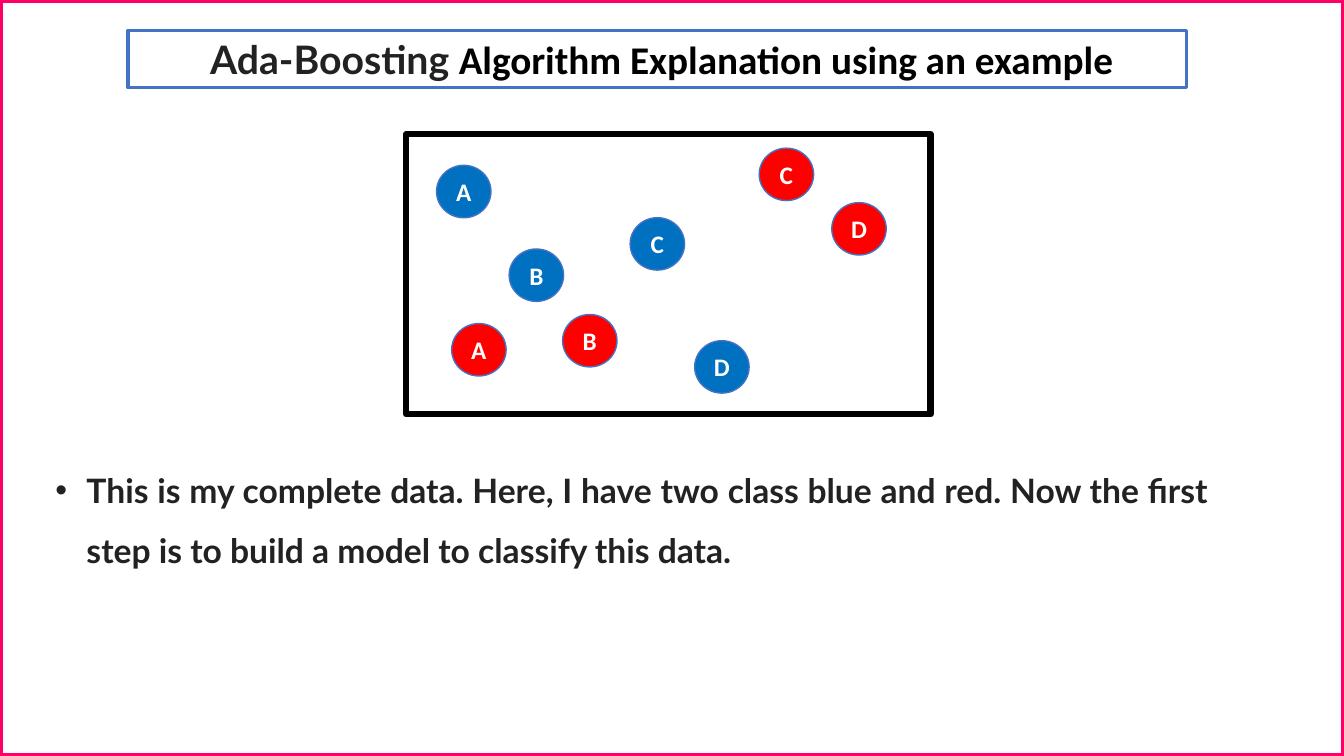
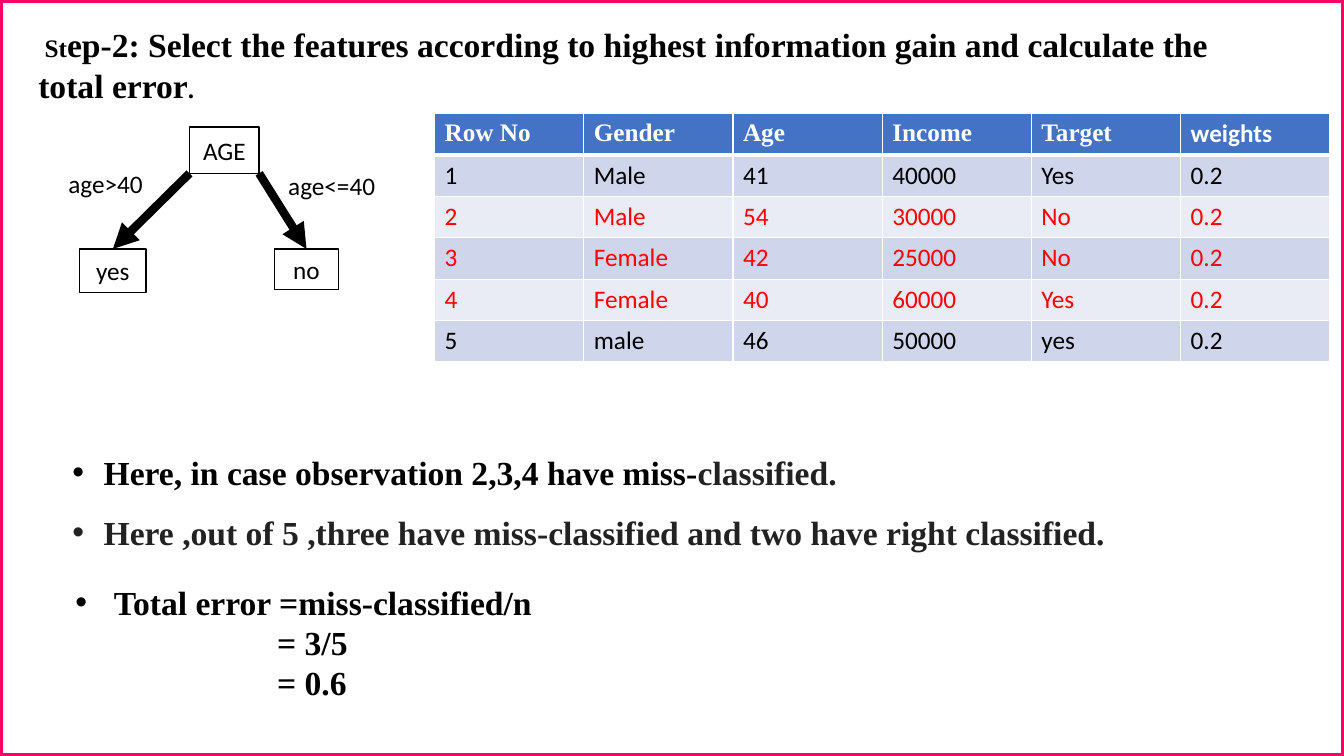
from dataclasses import dataclass
from typing import Any, Optional

import lxml.etree
import pptx
import pptx.dml.color
import pptx.enum.dml
import pptx.enum.shapes
import pptx.enum.text
import pptx.oxml
import pptx.oxml.ns
import pptx.util

Inches = pptx.util.Inches
Pt = pptx.util.Pt
Align = pptx.enum.text.PP_ALIGN
Anchor = pptx.enum.text.MSO_ANCHOR
Shape = pptx.enum.shapes.MSO_SHAPE
qn = pptx.oxml.ns.qn

WIDTH, HEIGHT = 13.33, 7.5
BLACK, WHITE, INK = "000000", "FFFFFF", "222222"
ACCENT, BLUE, RED, PINK = "4472C4", "0070C0", "FF0000", "FF0066"
BANDS = ("CFD5EA", "E9EBF5")
SANS, LATO, SERIF = "Calibri", "Lato", "Times New Roman"


@dataclass(frozen=True)
class Box:
    left: float
    top: float
    width: float
    height: float

    def emu(self) -> tuple:
        return tuple(Inches(v) for v in (self.left, self.top, self.width, self.height))


@dataclass(frozen=True)
class Run:
    text: str
    size: float = 24
    font: str = SERIF
    color: str = BLACK
    bold: bool = True


@dataclass(frozen=True)
class Para:
    runs: tuple
    align: Any = Align.LEFT
    spacing: Optional[float] = None
    margin: float = 0
    bullet: bool = False


@dataclass(frozen=True)
class Point:
    label: str
    color: str
    left: float
    top: float


@dataclass(frozen=True)
class Branch:
    label: str
    label_box: Box
    start: float
    leaf: str
    leaf_box: Box


POINTS = (
    Point("A", BLUE, 4.33, 1.64), Point("A", RED, 4.48, 3.21),
    Point("B", BLUE, 5.05, 2.47), Point("B", RED, 5.58, 3.12),
    Point("C", BLUE, 6.25, 2.16), Point("D", BLUE, 6.89, 3.38),
    Point("D", RED, 8.25, 2.01), Point("C", RED, 7.53, 1.47),
)
ROOT = Box(1.88, 1.26, 0.69, 0.46)
BRANCHES = (
    Branch("age>40", Box(0.58, 1.62, 1.01, 0.4), ROOT.left,
           "yes", Box(0.79, 2.47, 0.66, 0.43)),
    Branch("age<=40", Box(2.76, 1.64, 1.11, 0.4), ROOT.left + ROOT.width,
           "no", Box(2.72, 2.47, 0.64, 0.4)),
)
HEADER = ("Row No", "Gender", "Age", "Income", "Target", "weights")
ROWS = (
    ("1", "Male", "41", "40000", "Yes", "0.2"),
    ("2", "Male", "54", "30000", "No", "0.2"),
    ("3", "Female", "42", "25000", "No", "0.2"),
    ("4", "Female", "40", "60000", "Yes", "0.2"),
    ("5", "male", "46", "50000", "yes", "0.2"),
)
MISCLASSIFIED = {"2", "3", "4"}


def rgb(value: str) -> Any:
    return pptx.dml.color.RGBColor.from_string(value)


def write(tf: Any, *paras: Para) -> None:
    for i, para in enumerate(paras):
        p = tf.paragraphs[0] if i == 0 else tf.add_paragraph()
        p.alignment = para.align
        if para.spacing:
            p.line_spacing = para.spacing
        for run in para.runs:
            r = p.add_run()
            r.text = run.text
            r.font.size, r.font.name, r.font.bold = Pt(run.size), run.font, run.bold
            r.font.color.rgb = rgb(run.color)
        if para.margin:
            pPr = p._p.get_or_add_pPr()
            pPr.set("marL", str(Inches(para.margin)))
            if para.bullet:
                pPr.set("indent", str(-Inches(para.margin)))
                lxml.etree.SubElement(pPr, qn("a:buFont"), typeface="Arial")
                lxml.etree.SubElement(pPr, qn("a:buChar"), char="•")


def add_text(s: Any, box: Box, *paras: Para) -> None:
    tf = s.shapes.add_textbox(*box.emu()).text_frame
    tf.word_wrap = True
    write(tf, *paras)


def add_shape(s: Any, kind: Any, box: Box, fill: Optional[str], line: str,
              weight: float, label: Optional[Run] = None) -> Any:
    sp = s.shapes.add_shape(kind, *box.emu())
    sp.shadow.inherit = False
    if fill:
        sp.fill.solid()
        sp.fill.fore_color.rgb = rgb(fill)
    else:
        sp.fill.background()
    sp.line.color.rgb = rgb(line)
    sp.line.width = Pt(weight)
    if label:
        tf = sp.text_frame
        tf.margin_left = tf.margin_right = tf.margin_top = tf.margin_bottom = 0
        tf.vertical_anchor = Anchor.MIDDLE
        write(tf, Para((label,), Align.CENTER))
    return sp


def add_titled_slide(prs: Any, box: Box, para: Para) -> Any:
    s = prs.slides.add_slide(prs.slide_layouts[5])
    title = s.shapes.title
    title.left, title.top, title.width, title.height = box.emu()
    tf = title.text_frame
    tf.word_wrap = True
    tf.auto_size = pptx.enum.text.MSO_AUTO_SIZE.NONE
    tf.vertical_anchor = Anchor.TOP
    write(tf, para)
    return s


def add_frame(s: Any) -> None:
    add_shape(s, Shape.RECTANGLE, Box(0, 0, WIDTH, HEIGHT), None, PINK, 4.5)


def add_arrow(s: Any, x: float, y: float, target: Any) -> None:
    c = s.shapes.add_connector(pptx.enum.shapes.MSO_CONNECTOR.STRAIGHT,
                               Inches(x), Inches(y), target.left, target.top)
    c.end_connect(target, 0)
    c.line.color.rgb = rgb(BLACK)
    c.line.width = Pt(6)
    lxml.etree.SubElement(c.line._get_or_add_ln(), qn("a:tailEnd"), type="triangle")
    lxml.etree.SubElement(c._element.spPr, qn("a:effectLst"))


def style_cell(cell: Any, run: Run, fill: str, top: float, bottom: float) -> None:
    write(cell.text_frame, Para((run,)))
    tcPr = cell._tc.get_or_add_tcPr()
    for side, weight in (("L", 1), ("R", 1), ("T", top), ("B", bottom)):
        ln = lxml.etree.SubElement(tcPr, qn(f"a:ln{side}"), w=str(Pt(weight)))
        paint = lxml.etree.SubElement(ln, qn("a:solidFill"))
        lxml.etree.SubElement(paint, qn("a:srgbClr"), val=WHITE)
    cell.fill.solid()
    cell.fill.fore_color.rgb = rgb(fill)


def add_data_table(s: Any) -> None:
    col, row = 1.48, 0.41
    box = Box(4.31, 1.13, col * len(HEADER), row * (len(ROWS) + 1))
    table = s.shapes.add_table(len(ROWS) + 1, len(HEADER), *box.emu()).table
    for c in table.columns:
        c.width = Inches(col)
    for r in table.rows:
        r.height = Inches(row)
    for j, text in enumerate(HEADER):
        font = SANS if text == "weights" else SERIF
        style_cell(table.cell(0, j), Run(text, 18, font, WHITE), ACCENT, 1, 3)
    for i, values in enumerate(ROWS):
        color = RED if values[0] in MISCLASSIFIED else BLACK
        for j, text in enumerate(values):
            style_cell(table.cell(i + 1, j), Run(text, 18, SANS, color, False),
                       BANDS[i % 2], 1 if i else 3, 1)


def build_data_slide(prs: Any) -> None:
    s = add_titled_slide(prs, Box(1.27, 0.3, 10.5, 0.57), Para((
        Run(" Ada-Boosting ", 28, LATO, INK),
        Run("Algorithm Explanation using an example", 28, SANS),
    ), Align.CENTER))
    s.shapes.title.line.color.rgb = rgb(ACCENT)
    s.shapes.title.line.width = Pt(2.25)
    add_text(s, Box(0.45, 4.41, 11.63, 1.3), Para((
        Run("This is my complete data. Here, I have two class blue and red. "
            "Now the first step is to build a model to classify this data.",
            24, LATO, INK),
    ), Align.JUSTIFY, 1.5, 0.31, True))
    add_shape(s, Shape.RECTANGLE, Box(4.03, 1.33, 5.2, 2.78), WHITE, BLACK, 4.5)
    for pt in POINTS:
        add_shape(s, Shape.OVAL, Box(pt.left, pt.top, 0.54, 0.52), pt.color,
                  ACCENT, 1, Run(pt.label, 18, SANS, WHITE))
    add_frame(s)


def build_error_slide(prs: Any) -> None:
    s = add_titled_slide(prs, Box(0.28, 0.19, 11.9, 0.91), Para((
        Run(" St", 18),
        Run("ep-2: Select the features according to highest information gain "
            "and calculate the total error"),
        Run(".", 18),
    )))
    add_data_table(s)

    def add_node(text: str, box: Box) -> Any:
        return add_shape(s, Shape.RECTANGLE, box, WHITE, BLACK, 1,
                         Run(text, 18, SANS, bold=False))

    add_node("AGE", ROOT)
    for b in BRANCHES:
        leaf = add_node(b.leaf, b.leaf_box)
        add_arrow(s, b.start, ROOT.top + ROOT.height, leaf)
        add_text(s, b.label_box, Para((Run(b.label, 18, SANS, bold=False),)))
    findings = (
        (Run("Here, in case observation 2,3,4 have miss-"),
         Run("classified.", color=INK)),
        (Run("Here ,out of 5 ,three have miss-classified and two have right "
             "classified.", color=INK),),
    )
    add_text(s, Box(0.62, 4.23, 11.66, 1.24),
             *(Para(runs, spacing=1.5, margin=0.31, bullet=True) for runs in findings))
    add_text(s, Box(0.65, 5.72, 7.32, 1.31),
             Para((Run("Total error =miss-classified/n"),), margin=0.38, bullet=True),
             *(Para((Run(text),), margin=2) for text in ("= 3/5", "= 0.6")))
    add_frame(s)


def main() -> None:
    prs = pptx.Presentation()
    prs.slide_width, prs.slide_height = Inches(WIDTH), Inches(HEIGHT)
    build_data_slide(prs)
    build_error_slide(prs)
    prs.save("out.pptx")


if __name__ == "__main__":
    main()
